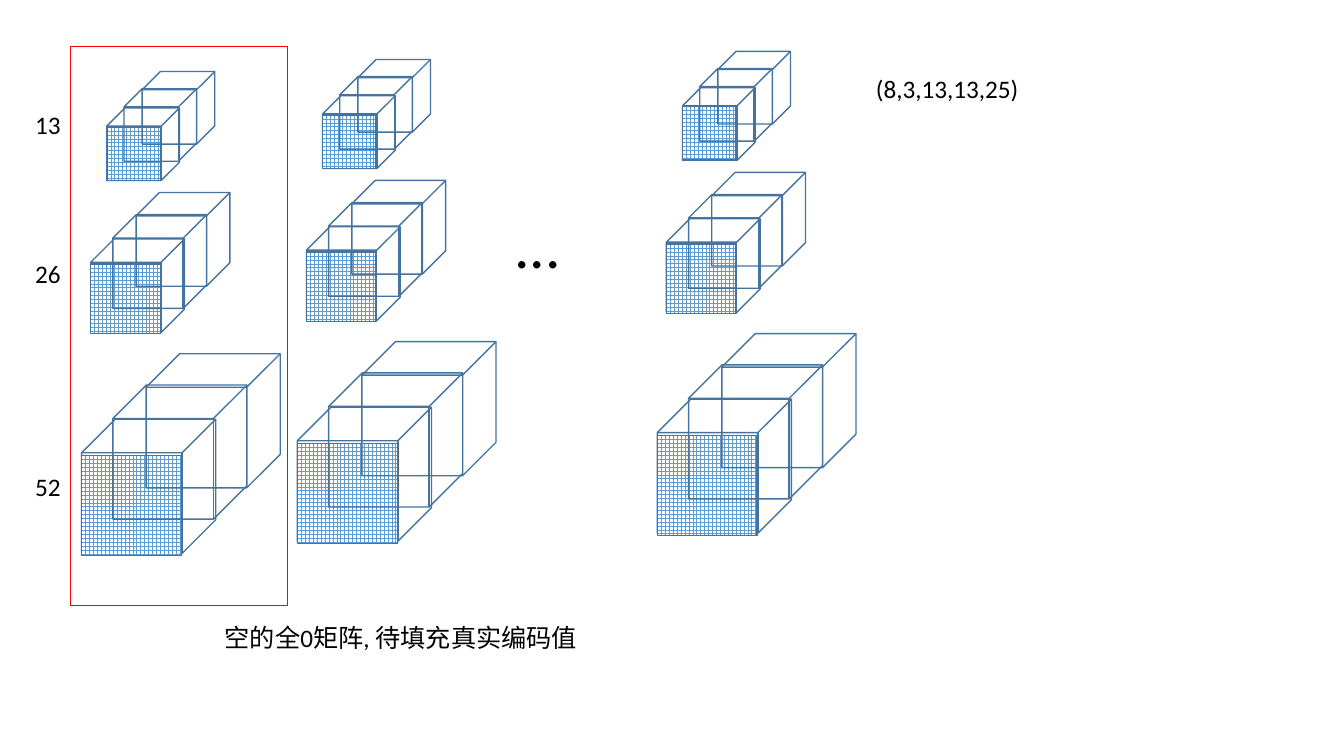
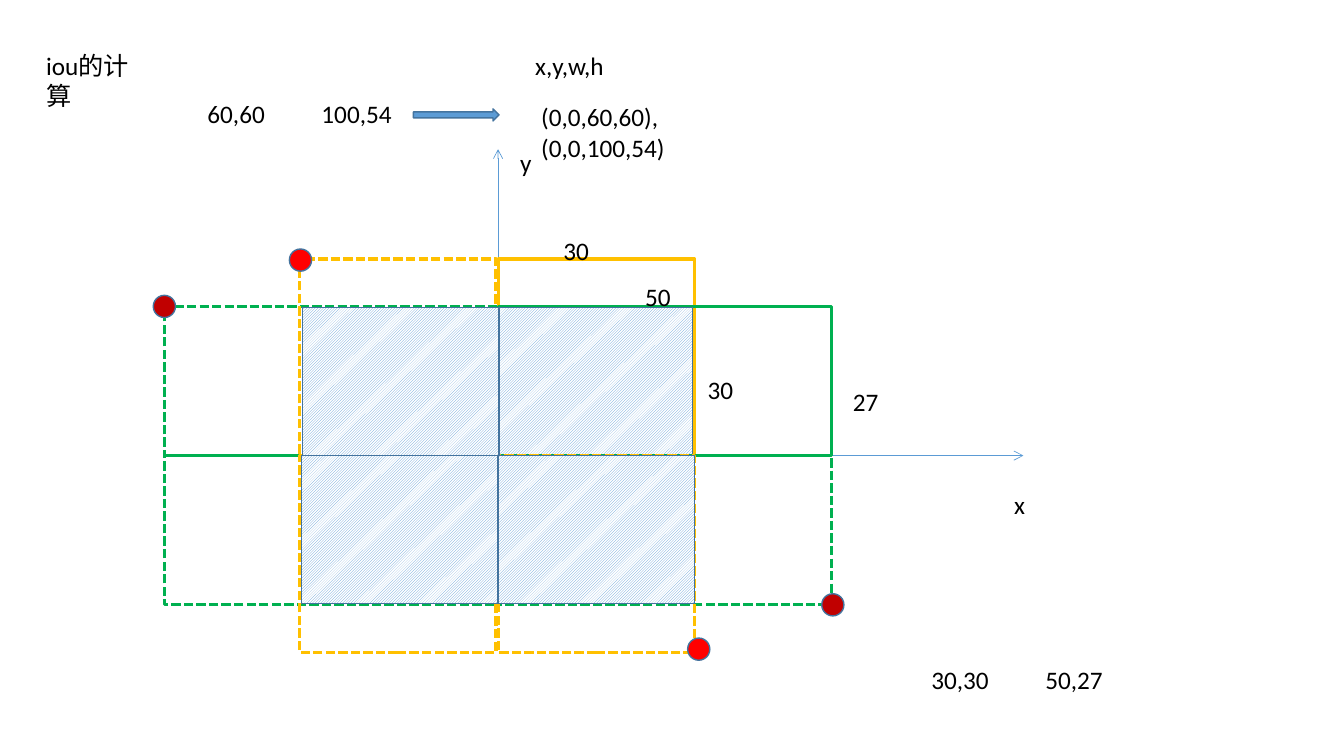
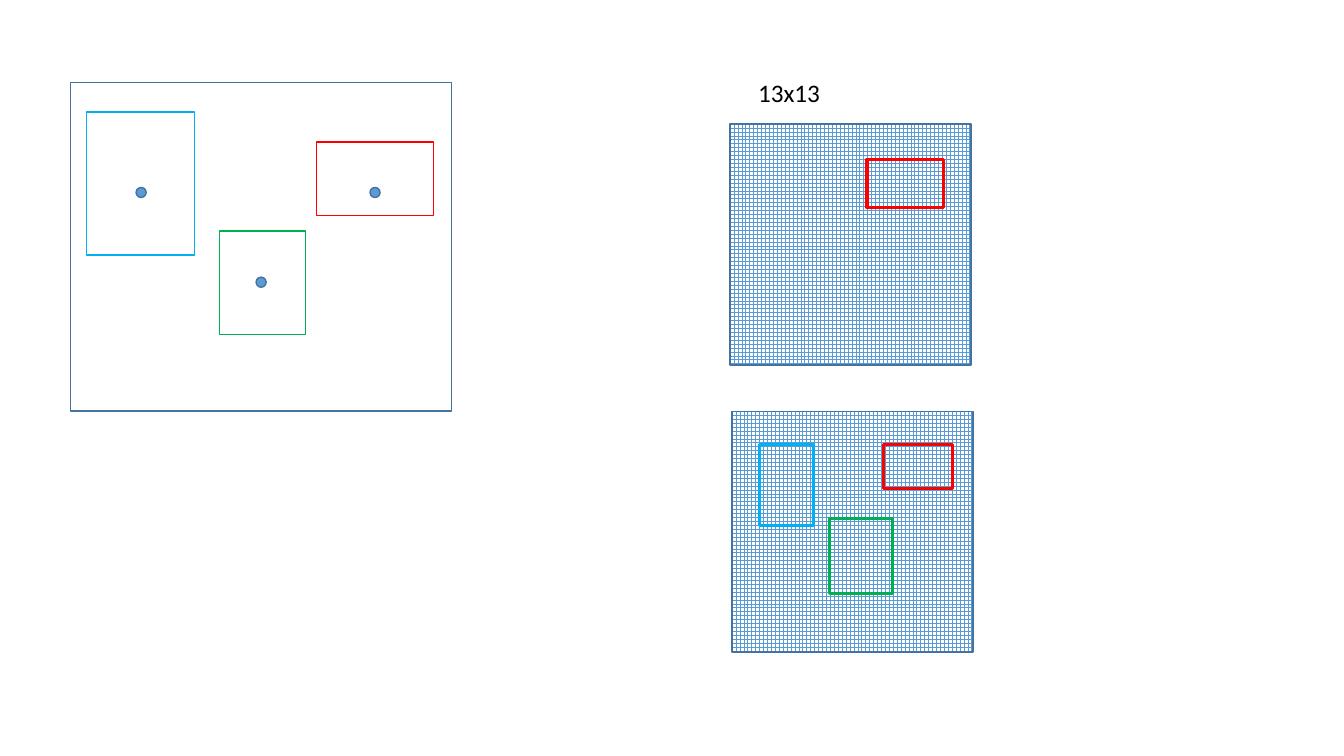
from lxml.etree import SubElement
from pptx import Presentation
from pptx.dml.color import RGBColor
from pptx.enum.dml import MSO_LINE, MSO_PATTERN
from pptx.enum.shapes import MSO_CONNECTOR, MSO_SHAPE
from pptx.oxml.ns import qn
from pptx.util import Inches, Pt

COLORS = {
    "black": "000000",
    "white": "FFFFFF",
    "blue": "5B9BD5",
    "outline": "43739E",
    "red": "FF0000",
    "dark_red": "C00000",
    "yellow": "FFC000",
    "green": "00B050",
    "sky": "00B0F0",
}
FONT = "Calibri"
GRID = MSO_PATTERN.LARGE_GRID
HATCH = MSO_PATTERN.LIGHT_UPWARD_DIAGONAL
THICK = 2.25


def rgb(name):
    return RGBColor.from_string(COLORS[name])


def add_text(page, text, left, top, width, height=0.4, size=18):
    box = page.shapes.add_textbox(Inches(left), Inches(top), Inches(width), Inches(height))
    box.text_frame.word_wrap = True
    span = box.text_frame.paragraphs[0].add_run()
    span.text = text
    span.font.name = FONT
    span.font.size = Pt(size)
    span.font.color.rgb = rgb("black")


def add_figure(page, left, top, width, height, kind=MSO_SHAPE.RECTANGLE,
               fill=None, pattern=None, line="outline", weight=1, dashed=False):
    """Draw a preset shape, empty unless a fill or a pattern is given."""
    shape = page.shapes.add_shape(kind, Inches(left), Inches(top), Inches(width), Inches(height))
    shape.shadow.inherit = False
    if pattern:
        shape.fill.patterned()
        shape.fill.pattern = pattern
        shape.fill.fore_color.rgb = rgb("blue")
        shape.fill.back_color.rgb = rgb("white")
    elif fill:
        shape.fill.solid()
        shape.fill.fore_color.rgb = rgb(fill)
    else:
        shape.fill.background()
    shape.line.color.rgb = rgb(line)
    shape.line.width = Pt(weight)
    if dashed:
        shape.line.dash_style = MSO_LINE.SQUARE_DOT


def add_dot(page, left, top, size, fill):
    add_figure(page, left, top, size, size, MSO_SHAPE.OVAL, fill=fill)


def add_axis(page, start, end):
    axis = page.shapes.add_connector(
        MSO_CONNECTOR.STRAIGHT, *(Inches(length) for length in (*start, *end)))
    axis.line.color.rgb = rgb("blue")
    axis.line.width = Pt(0.5)
    line = axis._element.spPr.find(qn("a:ln"))
    SubElement(line, qn("a:tailEnd"), type="arrow")
    SubElement(axis._element.spPr, qn("a:effectLst"))


def add_cube_row(page, left, top, size, face, face_drop, steps):
    """Draw a cube with a grid on its front, and one more cube at each (right, up) step."""
    add_figure(page, left, top, size, size, MSO_SHAPE.CUBE)
    add_figure(page, left, top + face_drop, face, face, pattern=GRID)
    for right, up in steps:
        add_figure(page, left + right, top - up, size, size, MSO_SHAPE.CUBE)


def add_cube_column(page, left, top):
    """Draw the three feature scales of one sample."""
    add_cube_row(page, left, top + 3.45, 1.33, 0.99, 0.36, ((0.31, 0.34), (0.64, 0.65)))
    add_cube_row(page, left + 0.09, top + 1.66, 0.93, 0.69, 0.25, ((0.22, 0.24), (0.45, 0.46)))
    add_cube_row(page, left + 0.25, top + 0.36, 0.72, 0.53, 0.19, ((0.17, 0.19), (0.35, 0.36)))


def build_matrix_page(page):
    for left, top in ((0.81, 0.71), (2.95, 0.59), (6.52, 0.51)):
        add_cube_column(page, left, top)
    for label, top in (("13", 1.04), ("26", 2.51), ("52", 4.63)):
        add_text(page, label, 0.25, top, 0.5)
    add_text(page, "空的全0矩阵, 待填充真实编码值", 2.13, 6.12, 3.7)
    add_text(page, "...", 5, 2, 0.75, 0.84, size=44)
    add_text(page, "(8,3,13,13,25)", 8.59, 0.68, 1.8)
    add_figure(page, 0.7, 0.46, 2.15, 5.55, line="red")


def add_quadrant(page, origin, size, side, shift=0, **style):
    """Draw a rectangle with one corner at the origin; side is (right, below) as 0 or 1."""
    (x, y), (width, height), (right, below) = origin, size, side
    add_figure(page, x + shift - (1 - right) * width, y - (1 - below) * height,
               width, height, **style)


def add_iou_plot(page, x, y):
    """Draw both anchor boxes and their overlap around the origin (x, y)."""
    origin, square, wide, overlap = (x, y), (1.95, 1.95), (3.31, 1.48), (1.95, 1.47)
    top_left, top_right, low_left, low_right = (0, 0), (1, 0), (0, 1), (1, 1)
    yellow = {"line": "yellow", "weight": THICK}
    green = {"line": "green", "weight": THICK}

    add_axis(page, (x - 0.72, y), (x + 5.21, y))
    add_axis(page, (x, y + 0.69), (x, y - 3.04))
    add_quadrant(page, origin, square, top_right, **yellow)
    add_quadrant(page, origin, wide, top_right, **green)
    add_quadrant(page, origin, overlap, top_right, -0.02, pattern=HATCH)
    for side in (top_left, low_right, low_left):
        add_quadrant(page, origin, wide, side, dashed=True, **green)
    for side in (top_left, low_right, low_left):
        shift = 0 if side == low_right else -0.02
        add_quadrant(page, origin, square, side, shift, dashed=True, **yellow)
    for side, shift in ((top_left, 0.01), (low_left, 0), (low_right, 0)):
        add_quadrant(page, origin, overlap, side, shift, pattern=HATCH)
    for left, top, fill in ((-2.07, -2.05, "red"), (1.88, 1.81, "red"),
                            (-3.42, -1.59, "dark_red"), (3.21, 1.37, "dark_red")):
        add_dot(page, x + left, y + top, 0.22, fill)


def build_iou_page(page):
    add_iou_plot(page, 4.94, 4.52)
    add_figure(page, 4.1, 1.08, 0.85, 0.12, MSO_SHAPE.RIGHT_ARROW, fill="blue")
    for label, left, top, width in (
            ("x", 9.96, 4.81, 0.4), ("y", 5.06, 1.41, 0.4),
            ("30", 5.49, 2.29, 0.5), ("30", 6.92, 3.66, 0.5),
            ("27", 8.36, 3.78, 0.5), ("50", 6.3, 2.74, 0.5),
            ("30,30", 9.14, 6.54, 0.9), ("50,27", 10.27, 6.54, 0.9),
            ("60,60", 1.96, 0.93, 0.9), ("100,54", 3.09, 0.93, 0.98),
            ("x,y,w,h", 5.21, 0.45, 1), ("iou的计算", 0.36, 0.45, 1.1),
            ("(0,0,60,60),(0,0,100,54)", 5.27, 0.96, 2.3)):
        add_text(page, label, left, top, width)


def add_frames(page, left, top, frames, weight=1):
    """Outline objects, given as (colour, left, top, width, height) from a corner."""
    for color, x, y, width, height in frames:
        add_figure(page, left + x, top + y, width, height, line=color, weight=weight)


def add_scene(page, left, top):
    add_figure(page, left, top, 3.78, 3.26)
    add_frames(page, left, top, (
        ("sky", 0.16, 0.29, 1.07, 1.42),
        ("green", 1.48, 1.47, 0.85, 1.03),
        ("red", 2.44, 0.59, 1.16, 0.73)))
    for x, y in ((0.65, 1.04), (1.84, 1.93), (2.97, 1.04)):
        add_dot(page, left + x, top + y, 0.1, "blue")


def add_grid(page, left, top, frames):
    add_figure(page, left, top, 2.39, 2.39, pattern=GRID)
    add_frames(page, left, top, frames, THICK)


def build_grid_page(page):
    add_scene(page, 0.7, 0.82)
    add_text(page, "13x13", 7.42, 0.72, 1)
    add_grid(page, 7.24, 1.23, [("red", 1.36, 0.35, 0.76, 0.48)])
    add_grid(page, 7.26, 4.08, (
        ("red", 1.5, 0.33, 0.69, 0.44),
        ("green", 0.97, 1.06, 0.62, 0.75),
        ("sky", 0.27, 0.33, 0.54, 0.8)))


def main():
    deck = Presentation()
    deck.slide_width, deck.slide_height = Inches(13.33), Inches(7.5)
    blank = deck.slide_layouts[6]
    for build in (build_matrix_page, build_iou_page, build_grid_page):
        build(deck.slides.add_slide(blank))
    deck.save("out.pptx")


if __name__ == "__main__":
    main()
